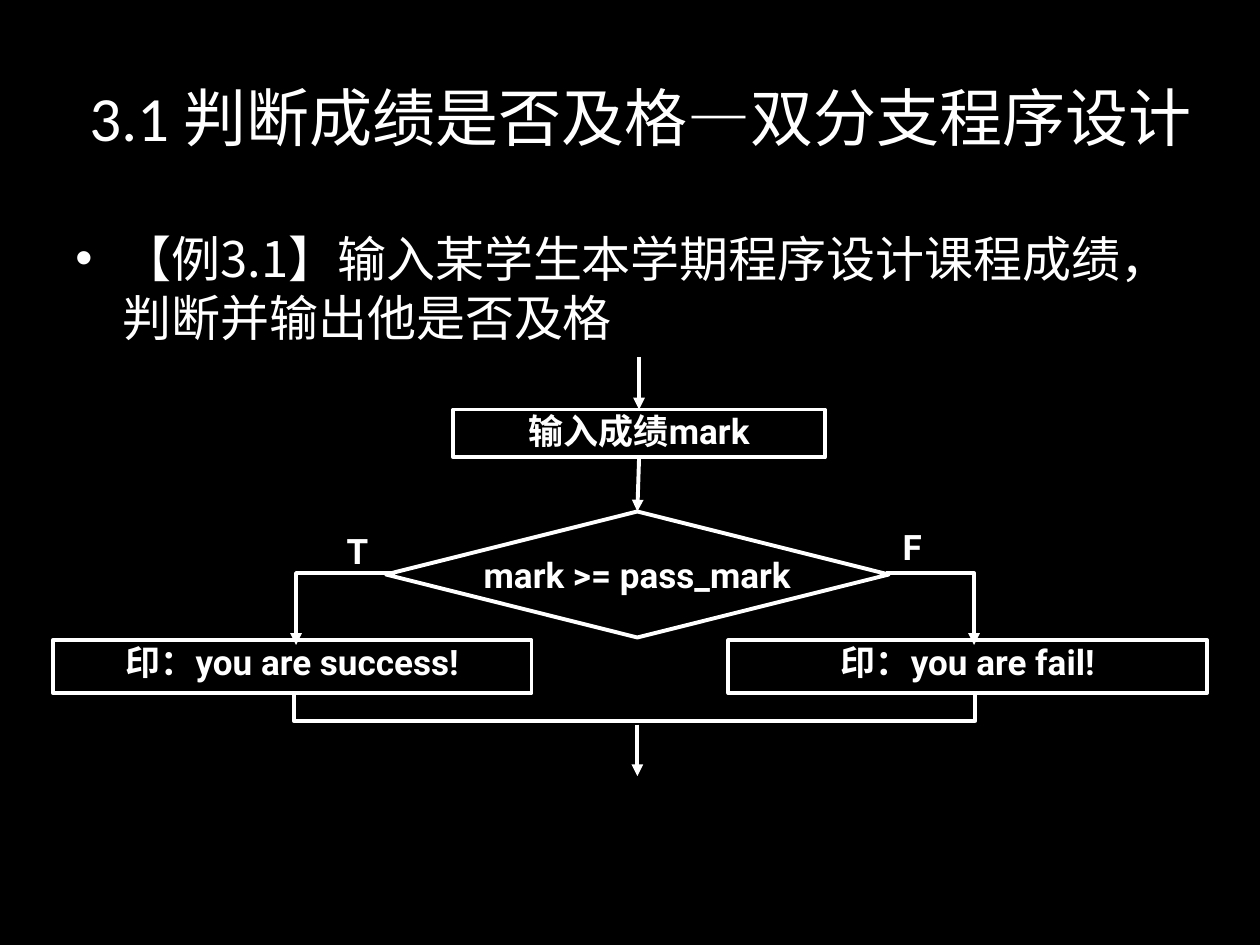
from lxml import etree
from pptx import Presentation
from pptx.dml.color import RGBColor
from pptx.enum.shapes import MSO_CONNECTOR, MSO_SHAPE
from pptx.enum.text import MSO_ANCHOR, PP_ALIGN
from pptx.oxml.ns import qn
from pptx.util import Pt

STRAIGHT = MSO_CONNECTOR.STRAIGHT
RECT, DIAMOND = MSO_SHAPE.RECTANGLE, MSO_SHAPE.DIAMOND
TOP, MIDDLE = MSO_ANCHOR.TOP, MSO_ANCHOR.MIDDLE
LEFT, CENTER = PP_ALIGN.LEFT, PP_ALIGN.CENTER
WHITE, BLACK = RGBColor.from_string("FFFFFF"), RGBColor.from_string("000000")
LABEL = {"name": "Roboto", "size": Pt(20), "bold": True}


def write(sp, text, font, align=CENTER, anchor=TOP, inset=0, wrap=True):
    tf = sp.text_frame
    tf.word_wrap, tf.vertical_anchor = wrap, anchor
    for side in ("left", "top", "right", "bottom"):
        setattr(tf, f"margin_{side}", Pt(inset))
    p = tf.paragraphs[0]
    p.alignment = align
    r = p.add_run()
    r.text = text
    for key, value in font.items():
        setattr(r.font, key, value)
    r.font.color.rgb = WHITE
    return p


def outline(sp, arrow=False):
    sp.line.color.rgb = WHITE
    sp.line.width = Pt(2.25)
    if arrow:
        etree.SubElement(sp.line._get_or_add_ln(), qn("a:tailEnd"), type="triangle")


prs = Presentation()
prs.slide_width, prs.slide_height = Pt(720), Pt(540)
s = prs.slides.add_slide(prs.slide_layouts[5])
s.background.fill.solid()
s.background.fill.fore_color.rgb = BLACK

# Title
title = s.shapes.title
title.left, title.top, title.width, title.height = Pt(36), Pt(21.6), Pt(660), Pt(90)
write(title, "3.1 判断成绩是否及格—双分支程序设计",
      {"name": "Calibri", "size": Pt(36)}, anchor=MIDDLE, inset=7.2)

# Example statement
body = s.shapes.add_textbox(Pt(36), Pt(123.5), Pt(648), Pt(72))
p = write(body, "【例3.1】输入某学生本学期程序设计课程成绩，判断并输出他是否及格",
          {"name": "Noto Sans CJK SC", "size": Pt(28)}, align=LEFT, inset=7.2)
p.line_spacing = Pt(33.6)
pPr = p._p.get_or_add_pPr()
pPr.set("marL", str(Pt(27)))
pPr.set("indent", str(Pt(-27)))
etree.SubElement(pPr, qn("a:buFont"), typeface="Arial")
etree.SubElement(pPr, qn("a:buChar"), char="•")

# Flowchart nodes
nodes = []
for shape, x, y, w, h, text in (
    (RECT, 259, 234, 212.4, 27.4, "输入成绩mark"),
    (DIAMOND, 220.5, 292.3, 287.4, 72, "mark >= pass_mark"),
    (RECT, 30.2, 365.8, 273.6, 30.2, "印：you are success!"),
    (RECT, 416.2, 365.8, 273.6, 30.2, "印：you are fail!"),
):
    sp = s.shapes.add_shape(shape, Pt(x), Pt(y), Pt(w), Pt(h))
    sp.shadow.inherit = False
    sp.fill.background()
    outline(sp)
    is_test = shape == DIAMOND
    write(sp, text, LABEL, anchor=MIDDLE if is_test else TOP, wrap=not is_test)
    nodes.append(sp)
read_mark, test = nodes[:2]

# Branch labels
for text, x, y, w, h, align in (("T", 198, 302.4, 46, 26, LEFT),
                                ("F", 486, 300.2, 70.6, 33.8, CENTER)):
    write(s.shapes.add_textbox(Pt(x), Pt(y), Pt(w), Pt(h)), text, LABEL, align)

# Straight arrows: entry, input to test, exit
for x, y1, y2, start, end in ((365.2, 204, 234, None, read_mark),
                              (364.2, 261.4, 292.3, read_mark, test),
                              (364.2, 414, 443.5, None, None)):
    cn = s.shapes.add_connector(STRAIGHT, Pt(x), Pt(y1), Pt(x), Pt(y2))
    if start:
        cn.begin_connect(start, 2)
    if end:
        cn.end_connect(end, 0)
    outline(cn, arrow=True)
    etree.SubElement(cn._element.spPr, qn("a:effectLst"))

# Bent branches and the merge below them
for points, arrow in (
    ([(226, 327.5), (169.2, 327.5), (169.2, 368.6)], True),
    ([(506, 327.5), (556.6, 327.5), (556.6, 368.6)], True),
    ([(167.8, 396), (167.8, 411.8), (557.3, 411.8), (557.3, 396)], False),
):
    pts = [(Pt(x), Pt(y)) for x, y in points]
    fb = s.shapes.build_freeform(*pts[0])
    fb.add_line_segments(pts[1:], close=False)
    sp = fb.convert_to_shape()
    sp.shadow.inherit = False
    sp.fill.background()
    outline(sp, arrow)

prs.save("out.pptx")
